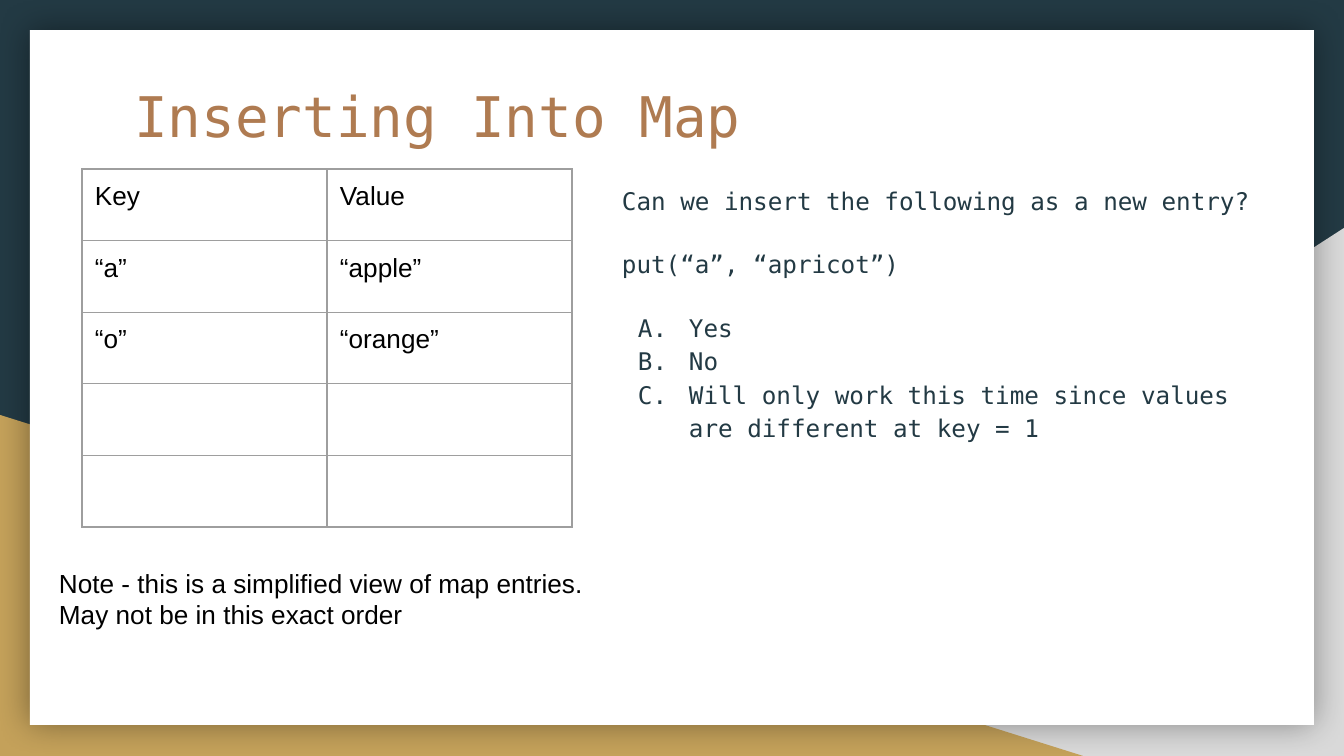
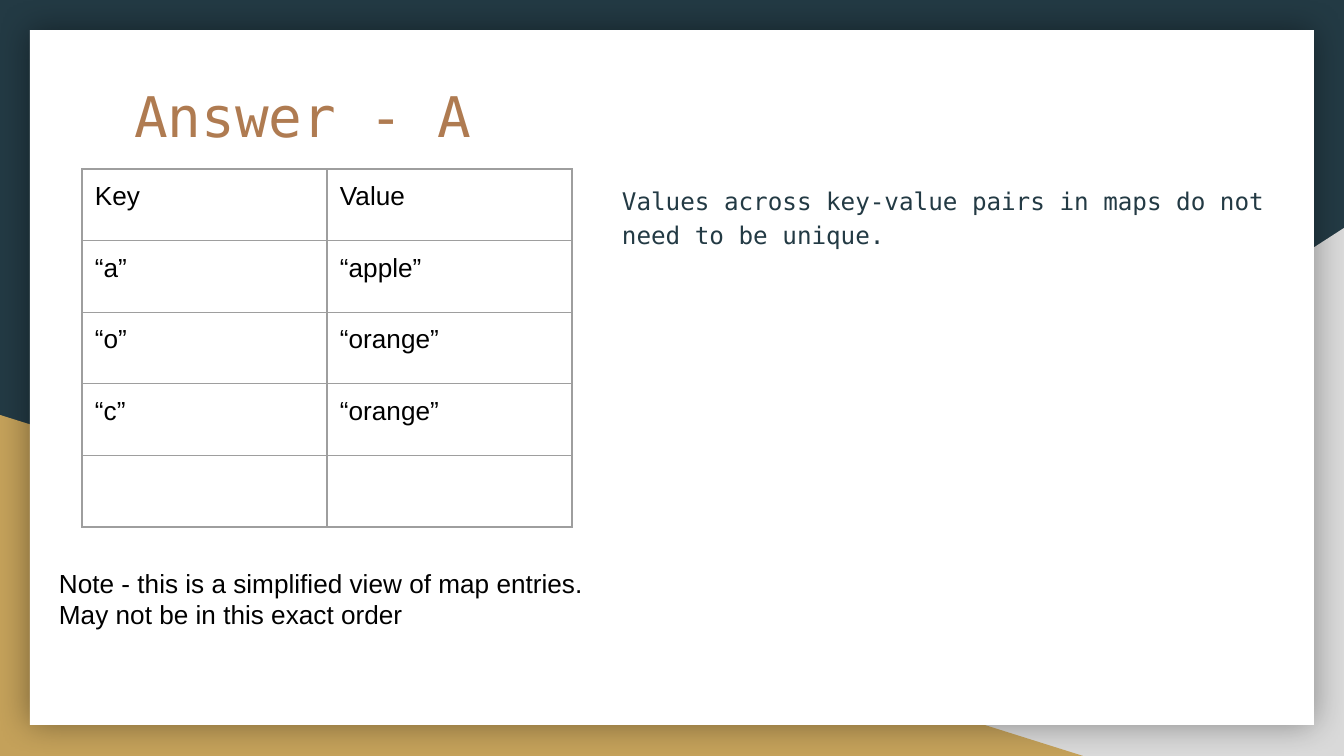
import pptx
import pptx.dml.color
import pptx.enum.shapes
import pptx.enum.text
import pptx.oxml
import pptx.oxml.ns
import pptx.util
import lxml.etree

RGBColor = pptx.dml.color.RGBColor
SHAPE = pptx.enum.shapes.MSO_SHAPE

NAVY = RGBColor(0x23, 0x3A, 0x44)
GREY = RGBColor(0xD9, 0xD9, 0xD9)
GOLD = RGBColor(0xC4, 0xA1, 0x5A)
WHITE = RGBColor(0xFF, 0xFF, 0xFF)
BROWN = RGBColor(0xAF, 0x7B, 0x51)
BLACK = RGBColor(0x00, 0x00, 0x00)
BORDER = RGBColor(0x9E, 0x9E, 0x9E)

MONO = "DejaVu Sans Mono"
SANS = "Arial"
EMU_PER_PIXEL = 914400 / 134.4
INSET = 13
NOTE = ("Note - this is a simplified view of map entries. "
        "May not be in this exact order")


def px(pixels):
    """Turn pixels into EMU."""
    return pptx.util.Emu(round(pixels * EMU_PER_PIXEL))


def add_node(parent, tag, **attributes):
    """Append a DrawingML child element and return it."""
    node = lxml.etree.SubElement(parent, pptx.oxml.ns.qn(tag))
    for name, value in attributes.items():
        node.set(name, str(value))
    return node


def add_panel(page, kind, left, top, width, height, color):
    """Add a plain filled shape without a line."""
    panel = page.shapes.add_shape(kind, px(left), px(top), px(width), px(height))
    panel.shadow.inherit = False
    panel.fill.solid()
    panel.fill.fore_color.rgb = color
    panel.line.fill.background()
    return panel


def add_glow(panel):
    """Give a panel a soft dark shadow on all sides."""
    effects = panel._element.spPr.find(pptx.oxml.ns.qn("a:effectLst"))
    shadow = add_node(effects, "a:outerShdw", blurRad=pptx.util.Pt(18),
                      dist=0, dir=0, algn="ctr", rotWithShape=0)
    color = add_node(shadow, "a:srgbClr", val=BLACK)
    add_node(color, "a:alpha", val=40000)


def add_backdrop(page):
    """Draw the background, its two corner triangles and the white card."""
    page.background.fill.solid()
    page.background.fill.fore_color.rgb = NAVY
    corner = add_panel(page, SHAPE.RIGHT_TRIANGLE, 527, 228, 817, 528, GREY)
    corner._element.spPr.xfrm.set("flipH", "1")
    add_panel(page, SHAPE.RIGHT_TRIANGLE, 0, 415, 1083, 341, GOLD)
    add_glow(add_panel(page, SHAPE.RECTANGLE, 30, 30, 1284, 695, WHITE))


def set_margins(target):
    """Set equal margins on a text frame or a table cell."""
    target.margin_left = target.margin_right = px(INSET)
    target.margin_top = target.margin_bottom = px(INSET)


def style_text(frame, font, size, color):
    """Format every run in a text frame."""
    for paragraph in frame.paragraphs:
        for span in paragraph.runs:
            span.font.name = font
            span.font.size = pptx.util.Pt(size)
            span.font.color.rgb = color


def add_text(page, left, top, width, height, text, font, size, color):
    """Add a wrapped text box and return its frame."""
    box = page.shapes.add_textbox(px(left), px(top), px(width), px(height))
    frame = box.text_frame
    frame.word_wrap = True
    frame.vertical_anchor = pptx.enum.text.MSO_ANCHOR.TOP
    set_margins(frame)
    frame.text = text
    style_text(frame, font, size, color)
    return frame


def letter_choice(paragraph):
    """Turn a paragraph into a lettered choice with a hanging indent."""
    properties = paragraph._p.get_or_add_pPr()
    properties.set("marL", str(px(67)))
    properties.set("indent", str(px(-51)))
    add_node(add_node(properties, "a:buClr"), "a:srgbClr", val=NAVY)
    add_node(properties, "a:buFont", typeface=MONO)
    add_node(properties, "a:buAutoNum", type="alphaUcPeriod")


def add_body(page, statements, choices):
    """Add statements followed by lettered choices."""
    frame = add_text(page, 609, 169, 689, 503,
                     "\n".join(statements + choices), MONO, 13, NAVY)
    for index, paragraph in enumerate(frame.paragraphs):
        paragraph.line_spacing = 1.15
        if 0 < index <= len(statements):
            paragraph.space_before = pptx.util.Pt(16)
        if index >= len(statements):
            letter_choice(paragraph)


def outline_cell(cell):
    """Draw a thin border on all four sides of a cell."""
    properties = cell._tc.get_or_add_tcPr()
    for index, side in enumerate(("a:lnL", "a:lnR", "a:lnT", "a:lnB")):
        line = add_node(properties, side, w=pptx.util.Pt(0.75))
        add_node(add_node(line, "a:solidFill"), "a:srgbClr", val=BORDER)
        properties.insert(index, line)


def add_map_table(page, entries, row_count=5):
    """Add the key-value table, leaving the unused rows empty."""
    width, height = 490, 358
    table = page.shapes.add_table(row_count, 2, px(82), px(169),
                                  px(width), px(height)).table
    table.first_row = False
    table.horz_banding = False
    for column in table.columns:
        column.width = px(width / 2)
    for row in table.rows:
        row.height = px(height / row_count)
    for cell in table.iter_cells():
        set_margins(cell)
        cell.fill.background()
        outline_cell(cell)
    for row, entry in enumerate([("Key", "Value")] + entries):
        for column, text in enumerate(entry):
            frame = table.cell(row, column).text_frame
            frame.text = text
            style_text(frame, SANS, 14, BLACK)


def add_map_page(deck, title, entries, statements, choices):
    """Build one slide: title, text, map table and note."""
    page = deck.slides.add_slide(deck.slide_layouts[6])
    add_backdrop(page)
    add_text(page, 121, 69, 1103, 140, title, MONO, 30, BROWN)
    add_body(page, statements, choices)
    add_map_table(page, entries)
    add_text(page, 46, 554, 563, 121, NOTE, SANS, 14, BLACK)


def main():
    """Build and save the deck."""
    deck = pptx.Presentation()
    deck.slide_width = px(1344)
    deck.slide_height = px(756)
    entries = [("“a”", "“apple”"), ("“o”", "“orange”")]
    add_map_page(deck, "Inserting Into Map", entries,
                 ["Can we insert the following as a new entry?",
                  "put(“a”, “apricot”)"],
                 ["Yes", "No",
                  "Will only work this time since values are different "
                  "at key = 1"])
    # The first choice needs the same gap above it as the statements have.
    add_map_page(deck, "Answer - A", entries + [("“c”", "“orange”")],
                 ["Values across key-value pairs in maps do not need to be "
                  "unique."], [])
    deck.save("out.pptx")


main()
